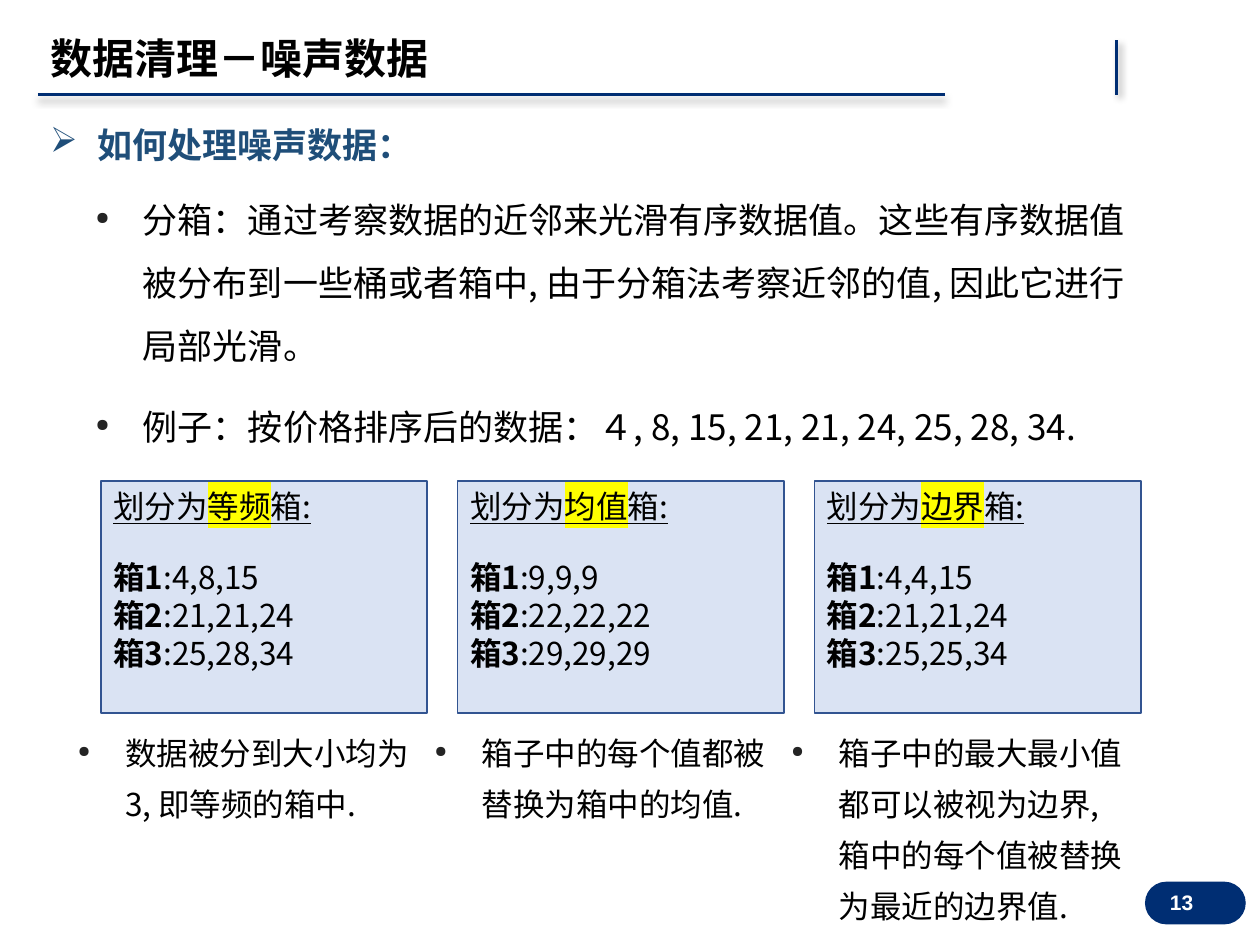
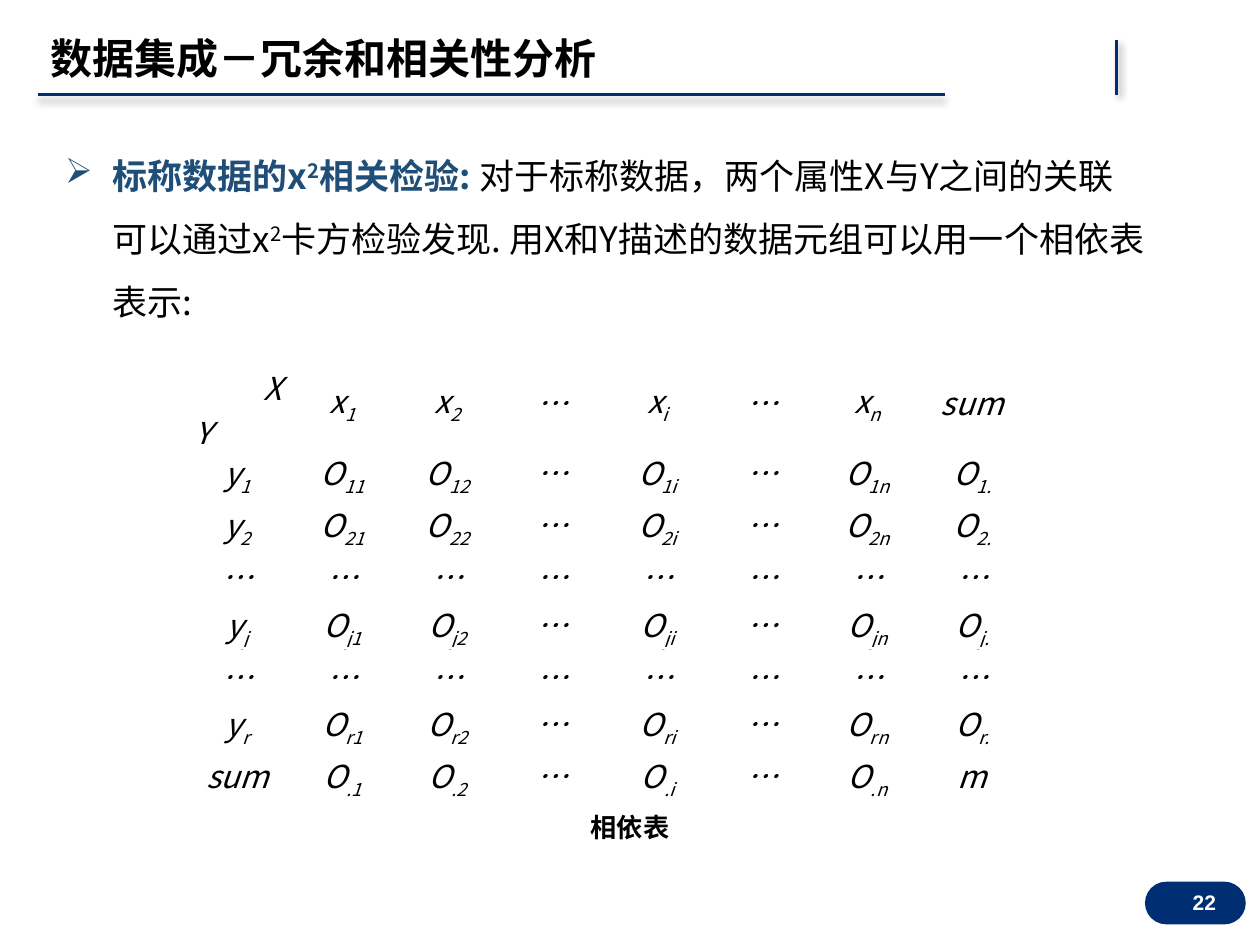
from dataclasses import dataclass

from lxml import etree
from pptx import Presentation
from pptx.dml.color import RGBColor
from pptx.enum.shapes import MSO_CONNECTOR, MSO_SHAPE
from pptx.enum.text import MSO_ANCHOR, MSO_AUTO_SIZE, PP_ALIGN
from pptx.oxml.ns import qn
from pptx.util import Pt

LEFT, CENTER, RIGHT = PP_ALIGN.LEFT, PP_ALIGN.CENTER, PP_ALIGN.RIGHT
TOP, MIDDLE = MSO_ANCHOR.TOP, MSO_ANCHOR.MIDDLE
GROW, FIXED = MSO_AUTO_SIZE.SHAPE_TO_FIT_TEXT, MSO_AUTO_SIZE.NONE
STRAIGHT = MSO_CONNECTOR.STRAIGHT
RECTANGLE, PILL = MSO_SHAPE.RECTANGLE, MSO_SHAPE.ROUNDED_RECTANGLE

COLORS = {
    "navy": "002E73",
    "heading": "1F4E79",
    "text": "000000",
    "white": "FFFFFF",
    "bullet": "242424",
    "bin": "DAE3F3",
    "bin_edge": "325491",
    "marker": "FFFF00",
}
BODY_FONT, TITLE_FONT = "Noto Sans CJK SC", "Arial"
SUPER, SUB = 30, -25


@dataclass
class Box:
    left: float
    top: float
    width: float
    height: float

    def lengths(self) -> tuple:
        return Pt(self.left), Pt(self.top), Pt(self.width), Pt(self.height)


@dataclass
class Run:
    text: str
    color: str = "text"
    bold: bool = False
    italic: bool = False
    underline: bool = False
    highlight: str = ""
    baseline: int = 0


@dataclass
class Bullet:
    char: str
    margin: float
    level: int = 0
    color: str = ""
    percent: int = 100


@dataclass
class Bin:
    method: str
    rows: list[str]
    note: str


ARROW = Bullet("➢", 27)
DOT = Bullet("●", 63, level=1, color="bullet", percent=50)

BINS = [
    Bin("等频", ["4,8,15", "21,21,24", "25,28,34"], "数据被分到大小均为3, 即等频的箱中."),
    Bin("均值", ["9,9,9", "22,22,22", "29,29,29"], "箱子中的每个值都被替换为箱中的均值."),
    Bin("边界", ["4,4,15", "21,21,24", "25,25,34"],
        "箱子中的最大最小值都可以被视为边界, 箱中的每个值被替换为最近的边界值."),
]
BIN_LEFT, BIN_TOP, BIN_STEP = 57.6, 275, 203.9


def rgb(name: str) -> RGBColor:
    return RGBColor.from_string(COLORS[name])


def add_node(parent, tag: str, **attributes):
    return etree.SubElement(parent, qn(tag), attributes)


def set_bullet(paragraph, bullet: Bullet) -> None:
    paragraph.level = bullet.level
    properties = paragraph._p.get_or_add_pPr()
    properties.set("marL", str(Pt(bullet.margin)))
    properties.set("indent", str(-Pt(27)))
    if bullet.color:
        color = add_node(properties, "a:buClr")
        add_node(color, "a:srgbClr", val=COLORS[bullet.color])
    add_node(properties, "a:buSzPct", val=str(bullet.percent * 1000))
    add_node(properties, "a:buChar", char=bullet.char)


def write_run(paragraph, part: Run, size: float, font_name: str) -> None:
    run = paragraph.add_run()
    run.text = part.text
    font = run.font
    font.size = Pt(size)
    font.bold, font.italic, font.underline = part.bold, part.italic, part.underline
    font.color.rgb = rgb(part.color)
    properties = run._r.get_or_add_rPr()
    if part.baseline:
        properties.set("baseline", str(part.baseline * 1000))
    if part.highlight:
        highlight = add_node(properties, "a:highlight")
        add_node(highlight, "a:srgbClr", val=COLORS[part.highlight])
    font.name = font_name
    add_node(properties, "a:ea", typeface=BODY_FONT)


def write_text(frame, paragraphs: list[list[Run]], *, size: float = 18,
               font: str = BODY_FONT, aligns: tuple = (LEFT,), spacing: float = 1.0,
               after: float = 0, bullet: Bullet | None = None) -> None:
    """Write paragraphs of runs; the last alignment serves all that remain."""
    for index, parts in enumerate(paragraphs):
        paragraph = frame.add_paragraph() if index else frame.paragraphs[0]
        paragraph.alignment = aligns[min(index, len(aligns) - 1)]
        paragraph.line_spacing = spacing
        paragraph.space_before, paragraph.space_after = Pt(0), Pt(after)
        if bullet:
            set_bullet(paragraph, bullet)
        for part in parts:
            write_run(paragraph, part, size, font)


def add_text(slide, box: Box, paragraphs: list[list[Run]], *, anchor=TOP,
             auto_size=GROW, **text_format) -> None:
    frame = slide.shapes.add_textbox(*box.lengths()).text_frame
    frame.word_wrap = True
    frame.auto_size = auto_size
    frame.vertical_anchor = anchor
    write_text(frame, paragraphs, **text_format)


def add_block(slide, kind, box: Box, fill: str, edge: str = ""):
    block = slide.shapes.add_shape(kind, *box.lengths())
    block.shadow.inherit = False
    block.fill.solid()
    block.fill.fore_color.rgb = rgb(fill)
    if edge:
        block.line.color.rgb = rgb(edge)
        block.line.width = Pt(1)
    else:
        block.line.fill.background()
    return block


def add_rule(slide, start: tuple, end: tuple, shadow_angle: int) -> None:
    rule = slide.shapes.add_connector(STRAIGHT, *map(Pt, start + end))
    rule.line.color.rgb = rgb("navy")
    rule.line.width = Pt(1.5)
    effects = add_node(rule._element.spPr, "a:effectLst")
    shadow = add_node(effects, "a:outerShdw", blurRad=str(Pt(4)), dist=str(Pt(3)),
                      dir=str(shadow_angle * 60000), algn="tl", rotWithShape="0")
    shade = add_node(shadow, "a:srgbClr", val=COLORS["text"])
    add_node(shade, "a:alpha", val="40000")


def add_slide(deck, title: str, number: str, number_left: float):
    """Blank slide with the shared title, rules and page number."""
    slide = deck.slides.add_slide(deck.slide_layouts[6])
    pill = add_block(slide, PILL, Box(654.3, 503.8, 57.6, 24.4), "navy")
    pill.adjustments[0] = 0.5
    add_rule(slide, (638, 23), (638, 54), 45)
    add_rule(slide, (21.6, 54), (540, 54), 90)
    add_text(slide, Box(number_left, 501, 162, 29), [[Run(number, "white", bold=True)]],
             size=12, font=TITLE_FONT, aligns=(RIGHT,), anchor=MIDDLE, auto_size=FIXED)
    add_text(slide, Box(21.6, 18, 518.4, 29.5), [[Run(title, bold=True)]],
             size=24, font=TITLE_FONT, spacing=0.9, auto_size=FIXED)
    return slide


def add_bin(slide, left: float, bin_: Bin) -> None:
    add_block(slide, RECTANGLE, Box(left, BIN_TOP, 186.5, 132.5), "bin", "bin_edge")
    add_text(slide, Box(left, 315.4, BIN_STEP, 72.7),
             [[Run(f"箱{number}", bold=True), Run(f":{values}")]
              for number, values in enumerate(bin_.rows, 1)])
    add_text(slide, Box(left, BIN_TOP, BIN_STEP, 29),
             [[Run("划分为", underline=True),
               Run(bin_.method, underline=True, highlight="marker"),
               Run("箱:", underline=True)]])
    add_text(slide, Box(left - 56.2, 408.2, 242.6, 66), [[Run(bin_.note)]],
             spacing=1.35, after=10, bullet=DOT)


def build_noise_slide(deck) -> None:
    slide = add_slide(deck, "数据清理－噪声数据", "13", 527)
    add_text(slide, Box(11.5, 98, 648.7, 158.4), [
        [Run("分箱：通过考察数据的近邻来光滑有序数据值。这些有序数据值被分布到一些桶或者箱中, "
             "由于分箱法考察近邻的值, 因此它进行局部光滑。")],
        [Run("例子：按价格排序后的数据：４, 8, 15, 21, 21, 24, 25, 28, 34.")],
    ], size=20, spacing=1.5, after=10, bullet=DOT)
    add_text(slide, Box(21.6, 67, 562.3, 31.7),
             [[Run("如何处理噪声数据：", "heading", bold=True)]], size=20, bullet=ARROW)
    for index, bin_ in enumerate(BINS):
        add_bin(slide, BIN_LEFT + index * BIN_STEP, bin_)


def contingency_cell(row: str, column: str) -> tuple[str, str]:
    """Symbol and subscript of one cell; "." stands for a sum, "" for a header."""
    if "…" in (row, column):
        return "…", ""
    if row == column == ".":
        return "m", ""
    if row and column:
        return "O", row + column
    label = row or column
    return ("sum", "") if label == "." else ("y" if row else "x", label)


def add_contingency_table(slide) -> None:
    columns = ["", "1", "2", "…", "i", "…", "n", "."]
    rows = ["", "1", "2", "…", "j", "…", "r", "."]
    box = Box(105.8, 205.2, 480, 238)
    table = slide.shapes.add_table(len(rows), len(columns), *box.lengths()).table
    table.first_row = table.horz_banding = False
    for column in table.columns:
        column.width = Pt(60)
    for row_index, row in enumerate(rows):
        table.rows[row_index].height = Pt(27 if row_index else 49)
        for column_index, column in enumerate(columns):
            cell = table.cell(row_index, column_index)
            cell.fill.background()
            cell.vertical_anchor = MIDDLE
            cell.margin_left = cell.margin_right = Pt(5.2)
            cell.margin_top = cell.margin_bottom = Pt(2.6)
            if not row and not column:
                write_text(cell.text_frame, [[Run("X", italic=True)], [Run("Y", italic=True)]],
                           aligns=(RIGHT, LEFT))
                continue
            symbol, subscript = contingency_cell(row, column)
            parts = [Run(symbol, italic=True)]
            if subscript:
                parts.append(Run(subscript, italic=True, baseline=SUB))
            write_text(cell.text_frame, [parts], aligns=(CENTER,))


def build_correlation_slide(deck) -> None:
    slide = add_slide(deck, "数据集成－冗余和相关性分析", "22", 540)
    add_text(slide, Box(30.2, 72.7, 632.2, 189.4), [[
        Run("标称数据的x", "heading", bold=True),
        Run("2", "heading", bold=True, baseline=SUPER),
        Run("相关检验: ", "heading", bold=True),
        Run("对于标称数据，两个属性X与Y之间的关联可以通过x"),
        Run("2", baseline=SUPER),
        Run("卡方检验发现. 用X和Y描述的数据元组可以用一个相依表表示:"),
    ]], size=20, spacing=1.5, bullet=ARROW)
    add_contingency_table(slide)
    add_text(slide, Box(316, 460, 88, 24), [[Run("相依表", bold=True)]],
             size=15, aligns=(CENTER,), auto_size=FIXED)


def main() -> None:
    deck = Presentation()
    deck.slide_width, deck.slide_height = Pt(720), Pt(540)
    build_noise_slide(deck)
    build_correlation_slide(deck)
    deck.save("out.pptx")


if __name__ == "__main__":
    main()
